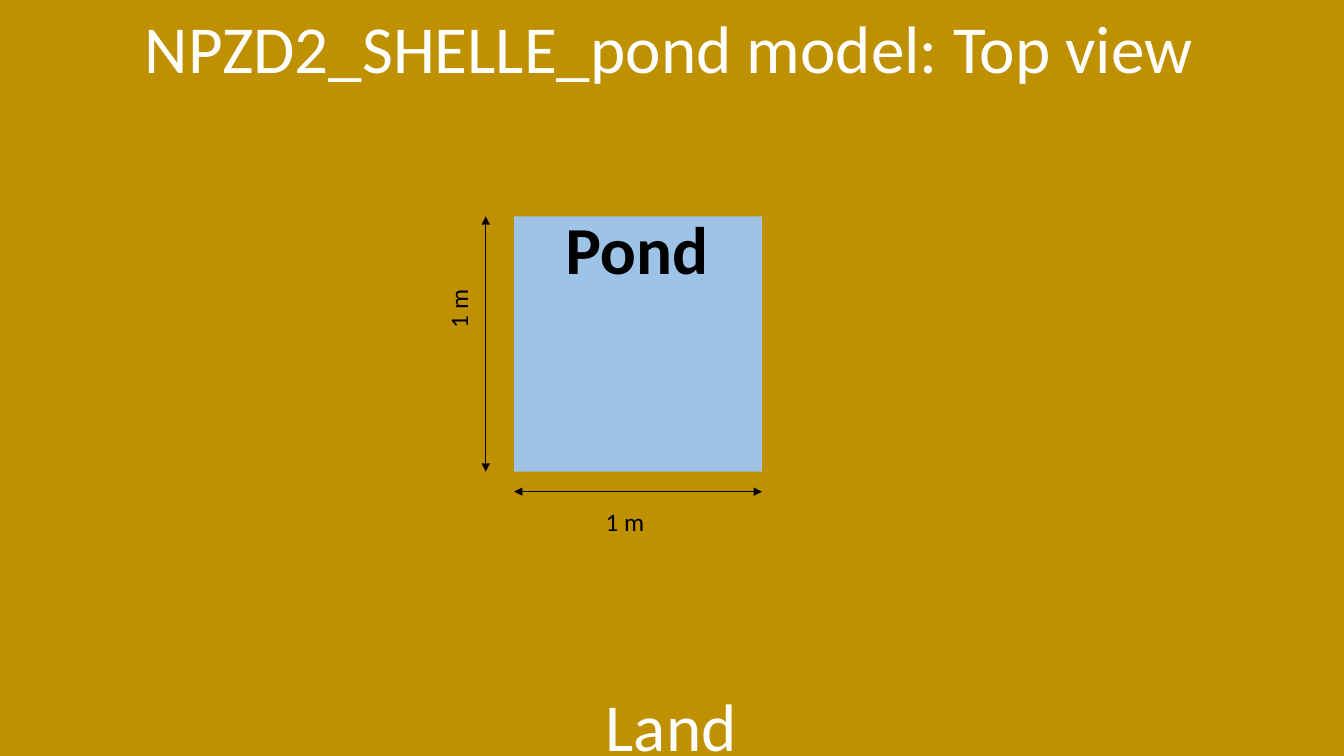
from lxml import etree
from pptx import Presentation
from pptx.dml.color import RGBColor
from pptx.enum.shapes import MSO_CONNECTOR, MSO_SHAPE
from pptx.enum.text import MSO_ANCHOR, MSO_AUTO_SIZE, PP_ALIGN
from pptx.oxml.ns import qn
from pptx.util import Pt

BLACK, WHITE = "000000", "FFFFFF"
LAND_BROWN, POND_BLUE = "BF9000", "9DC3E6"


def paint(color_format, hex_color):
    color_format.rgb = RGBColor.from_string(hex_color)


def set_text(shape, text, size, color, bold=False):
    frame = shape.text_frame
    frame.text = text
    frame.vertical_anchor = MSO_ANCHOR.TOP
    font = frame.paragraphs[0].font
    font.name, font.size, font.bold = "Calibri", Pt(size), bold
    paint(font.color, color)


prs = Presentation()
prs.slide_width, prs.slide_height = Pt(960), Pt(540)
slide = prs.slides.add_slide(prs.slide_layouts[5])
shapes = slide.shapes

# Land and pond areas
pond_left, pond_top, pond_width, pond_height = 367.2, 154.6, 177.1, 182.3
pond_right, pond_bottom = pond_left + pond_width, pond_top + pond_height
areas = [
    (0, 0, 960, 540, LAND_BROWN),
    (pond_left, pond_top, pond_width, pond_height, POND_BLUE),
]
for left, top, width, height, color in areas:
    area = shapes.add_shape(MSO_SHAPE.RECTANGLE, Pt(left), Pt(top), Pt(width), Pt(height))
    area.shadow.inherit = False
    area.fill.solid()
    paint(area.fill.fore_color, color)
    area.line.fill.background()

# Dimension arrows below and to the left of the pond
width_y, height_x = 351.2, 347
dimensions = [
    (pond_left, width_y, pond_right, width_y),
    (height_x, pond_bottom, height_x, pond_top),
]
for ends in dimensions:
    dimension = shapes.add_connector(MSO_CONNECTOR.STRAIGHT, *map(Pt, ends))
    dimension.line.width = Pt(0.5)
    paint(dimension.line.color, BLACK)
    line = dimension.line._get_or_add_ln()
    for end in ("a:headEnd", "a:tailEnd"):
        etree.SubElement(line, qn(end), type="triangle")
    etree.SubElement(dimension.element.spPr, qn("a:effectLst"))

# Labels: text, left, top, width, height, size, color, bold, rotation
labels = [
    ("Land", 425.5, 485.3, 108.7, 65.5, 48, WHITE, False, 0),
    ("1 m", 425.5, 357.8, 42.5, 28.8, 18, BLACK, False, 0),
    ("1 m", 306, 205.9, 42.5, 28.8, 18, BLACK, False, 270),
    ("Pond", 396.7, 144.7, 117.4, 65.5, 48, BLACK, True, 0),
]
for text, left, top, width, height, size, color, bold, rotation in labels:
    label = shapes.add_textbox(Pt(left), Pt(top), Pt(width), Pt(height))
    set_text(label, text, size, color, bold)
    label.text_frame.word_wrap = False
    label.text_frame.auto_size = MSO_AUTO_SIZE.SHAPE_TO_FIT_TEXT
    label.rotation = rotation

# Title, brought in front of the land
title = shapes.title
title.left, title.top, title.width, title.height = Pt(-2), Pt(0.7), Pt(960), Pt(65.5)
set_text(title, "NPZD2_SHELLE_pond model: Top view", 48, WHITE)
title.text_frame.auto_size = MSO_AUTO_SIZE.NONE
title.text_frame.paragraphs[0].alignment = PP_ALIGN.CENTER
title.element.getparent().append(title.element)

prs.save("out.pptx")
